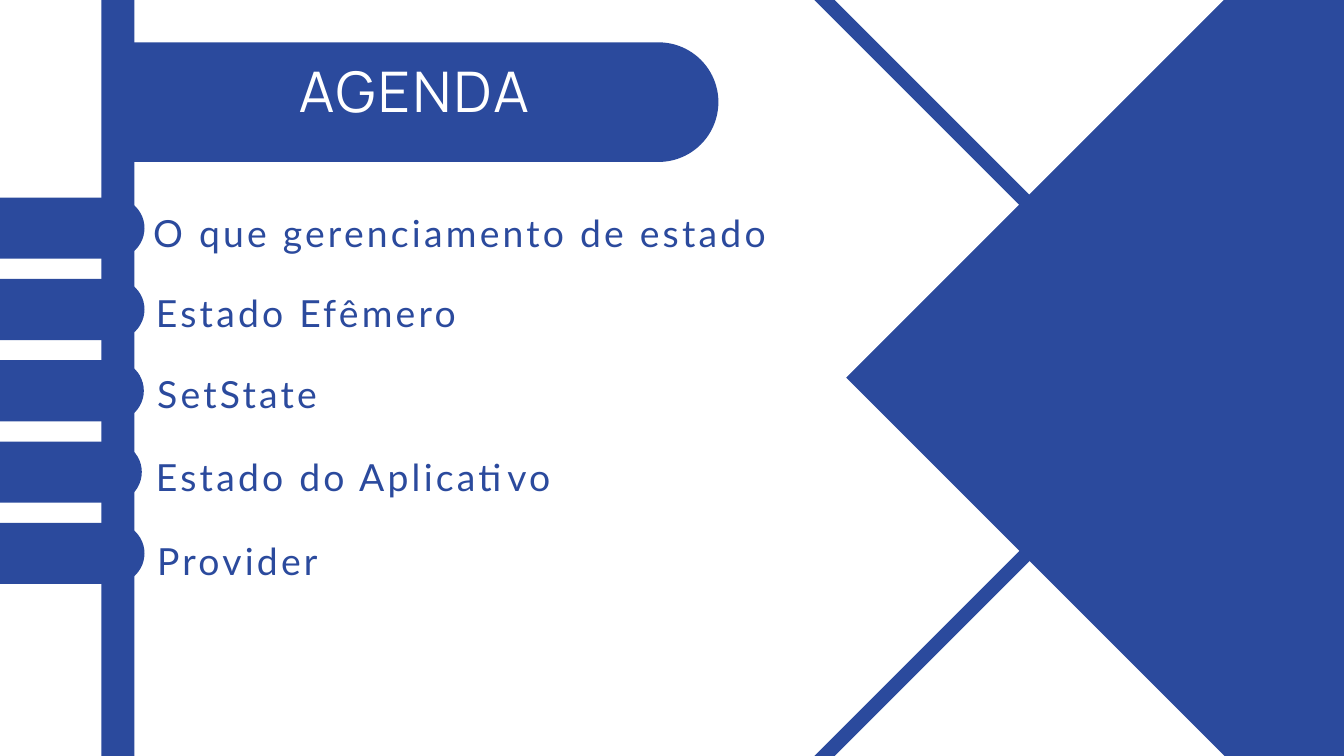
from pptx import Presentation
from pptx.dml.color import RGBColor
from pptx.enum.shapes import MSO_SHAPE as Preset
from pptx.enum.text import MSO_ANCHOR as Anchor, MSO_AUTO_SIZE as AutoSize, PP_ALIGN as Align
from pptx.oxml.xmlchemy import OxmlElement
from pptx.util import Inches, Pt

BLUE = RGBColor(0x2B, 0x4A, 0x9D)
WHITE = RGBColor(0xFF, 0xFF, 0xFF)

TOPICS = [
    ("O que gerenciamento de estado", 0, 0),
    ("Estado Efêmero", 0.04, 36.7),
    ("SetState", 0.06, 38.1),
    ("Estado do Aplicativo", 0.04, 39.6),
    ("Provider", 0.06, 41.7),
]
TAB_LEFTS = [0, 0, -0.01, -0.04, 0]
TAB_TOP, TAB_PITCH = 2.94, 1.21


class SlideBuilder:
    title_style = {"name": "Manrope", "size": Pt(60), "bold": False}
    topic_style = {"name": "Lato", "size": Pt(40), "bold": False}

    def __init__(self, page):
        self.page = page

    def paint(self, shape, color):
        shape.shadow.inherit = False
        shape.fill.solid()
        shape.fill.fore_color.rgb = color
        shape.line.fill.background()

    def preset(self, kind, left, top, width, height):
        shape = self.page.shapes.add_shape(
            kind, Inches(left), Inches(top), Inches(width), Inches(height))
        self.paint(shape, BLUE)
        return shape

    def pill(self, left, top, width, height):
        shape = self.preset(
            Preset.ROUND_2_SAME_RECTANGLE,
            left + (width - height) / 2, top + (height - width) / 2, height, width)
        shape.rotation = 90
        shape.adjustments[0] = 0.5
        shape.adjustments[1] = 0

    def diamond_frame(self, x, y, outer, inner, color):
        def corners(radius, turn):
            points = [(x, y - radius), (x + turn * radius, y),
                      (x, y + radius), (x - turn * radius, y)]
            return [(Inches(across), Inches(down)) for across, down in points]

        outside, inside = corners(outer, 1), corners(inner, -1)
        builder = self.page.shapes.build_freeform(*outside[0])
        builder.add_line_segments(outside[1:], close=True)
        builder.move_to(*inside[0])
        builder.add_line_segments(inside[1:], close=True)
        self.paint(builder.convert_to_shape(), color)

    def place(self, box, left, top, width, height):
        self.page.shapes.element.append(box.element)
        bounds = {"left": left, "top": top, "width": width, "height": height}
        for name, value in bounds.items():
            setattr(box, name, Inches(value))
        frame = box.text_frame
        settings = {"margin_left": 0, "margin_top": 0, "margin_right": 0,
                    "margin_bottom": 0, "word_wrap": True,
                    "auto_size": AutoSize.NONE, "vertical_anchor": Anchor.TOP}
        for name, value in settings.items():
            setattr(frame, name, value)
        return frame

    def add_text(self, para, text, style, color, tracking, layout):
        for name, value in layout.items():
            setattr(para, name, value)
        span = para.add_run()
        span.text = text
        for name, value in style.items():
            setattr(span.font, name, value)
        span.font.color.rgb = color
        span._r.get_or_add_rPr().set("spc", str(tracking))

    def title(self, text, *bounds):
        frame = self.place(self.page.shapes.title, *bounds)
        layout = {"alignment": Align.CENTER, "line_spacing": Pt(63), "space_before": Pt(0)}
        self.add_text(frame.paragraphs[0], text, self.title_style, WHITE, 300, layout)

    def topics(self, items, *bounds):
        frame = self.place(self.page.placeholders[1], *bounds)
        for index, (text, indent, gap) in enumerate(items):
            para = frame.add_paragraph() if index else frame.paragraphs[0]
            properties = para._p.get_or_add_pPr()
            properties.set("marL", str(Inches(indent)))
            properties.set("indent", "0")
            properties.append(OxmlElement("a:buNone"))
            layout = {"alignment": Align.LEFT, "line_spacing": Pt(49), "space_before": Pt(gap)}
            self.add_text(para, text, self.topic_style, BLUE, 350, layout)


def main():
    deck = Presentation()
    deck.slide_width, deck.slide_height = Inches(20), Inches(11.25)
    slide = SlideBuilder(deck.slides.add_slide(deck.slide_layouts[1]))

    slide.preset(Preset.RECTANGLE, 1.51, 0, 0.49, 11.25)
    slide.preset(Preset.DIAMOND, 12.2, -2.24, 15.74, 15.74)
    slide.diamond_frame(19.4, 5.62, 7.26, 6.81, WHITE)
    for middle in (12.17, -0.92):
        slide.diamond_frame(15.97, middle, 4.77, 4.47, BLUE)
    slide.pill(1.99, 0.63, 8.7, 1.78)
    for row, left in enumerate(TAB_LEFTS):
        slide.pill(left, TAB_TOP + row * TAB_PITCH, 2.15, 0.91)

    slide.title("AGENDA", 2.32, 0.96, 7.68, 0.98)
    slide.topics(TOPICS, 2.28, 3.11, 9.36, 5.52)
    deck.save("out.pptx")


if __name__ == "__main__":
    main()
